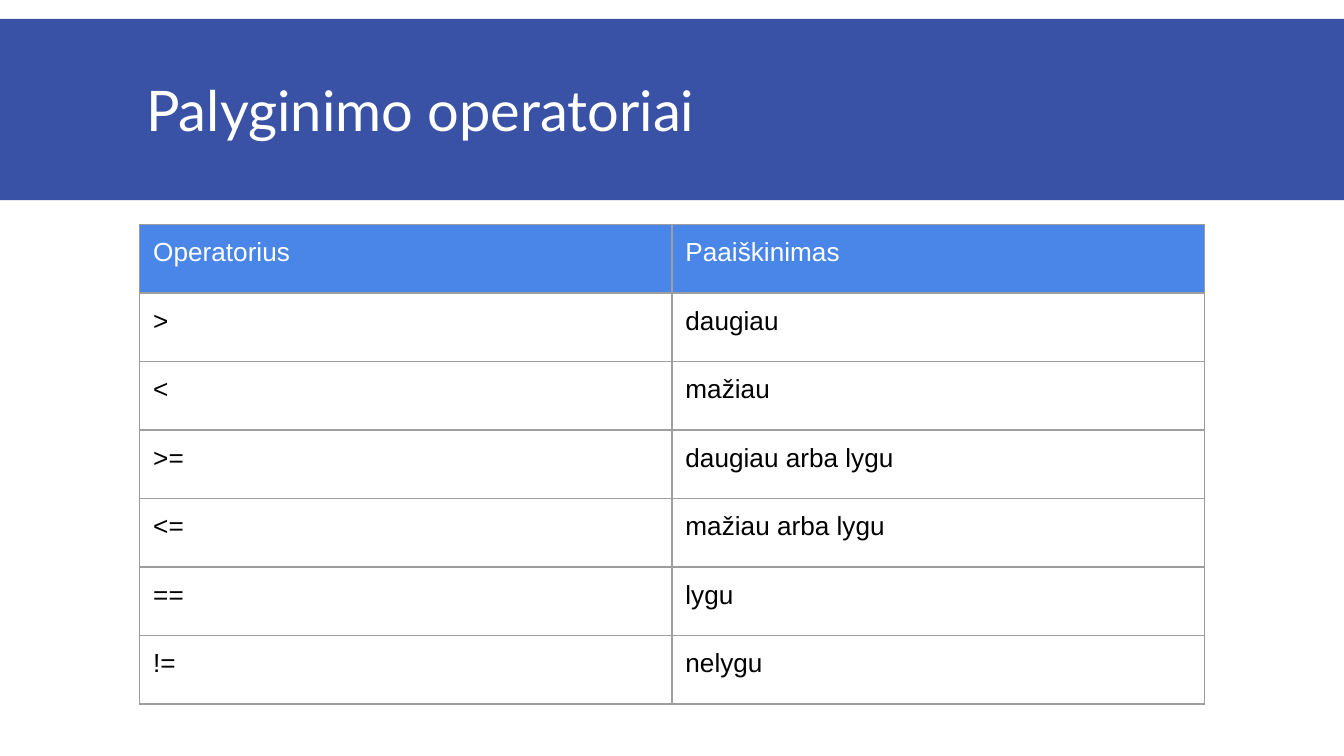
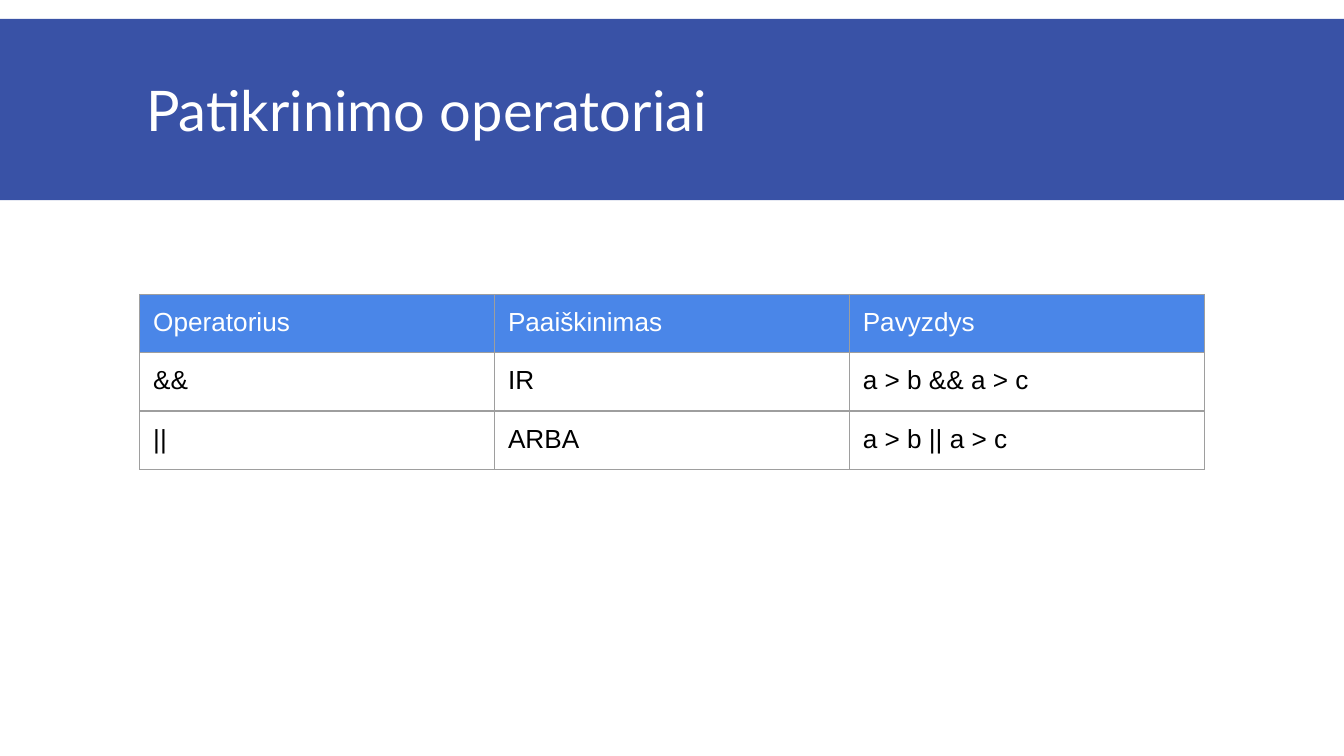
from lxml.etree import SubElement
from pptx import Presentation
from pptx.dml.color import RGBColor
from pptx.enum.shapes import MSO_SHAPE as SHAPE
from pptx.enum.text import MSO_ANCHOR as ANCHOR
from pptx.oxml.ns import qn
from pptx.util import Inches, Pt

COLORS = {
    "band": "3952A6",
    "header": "4A86E8",
    "border": "9E9E9E",
    "light": "FFFFFF",
    "dark": "000000",
}
SLIDE_WIDTH = 10
SLIDE_HEIGHT = SLIDE_WIDTH * 9 / 16
TITLE_FONT = {"name": "Lato", "size": Pt(30)}
CELL_FONT = {"name": "Arial", "size": Pt(14)}
MARGINS = {f"margin_{side}": Inches(0.1) for side in ("left", "top", "right", "bottom")}
TABLE_LEFT, TABLE_WIDTH = 1.04, 7.92

COMPARISON = [
    ("Operatorius", "Paaiškinimas"),
    (">", "daugiau"),
    ("<", "mažiau"),
    (">=", "daugiau arba lygu"),
    ("<=", "mažiau arba lygu"),
    ("==", "lygu"),
    ("!=", "nelygu"),
]
LOGICAL = [
    ("Operatorius", "Paaiškinimas", "Pavyzdys"),
    ("&&", "IR", "a > b && a > c"),
    ("||", "ARBA", "a > b || a > c"),
]


def rgb(name):
    """Return the named palette colour."""
    return RGBColor.from_string(COLORS[name])


def apply(target, values):
    """Set every attribute in values on target."""
    for name, value in values.items():
        setattr(target, name, value)


def write(p, text, font, color):
    """Add one formatted run to a paragraph."""
    r = p.add_run()
    r.text = text
    apply(r.font, font)
    r.font.color.rgb = rgb(color)


def add_band(slide):
    """Draw the coloured band behind the title."""
    sp = slide.shapes.add_shape(
        SHAPE.RECTANGLE, 0, Inches(0.14), Inches(SLIDE_WIDTH), Inches(1.35))
    sp.shadow.inherit = False
    sp.fill.solid()
    sp.fill.fore_color.rgb = rgb("band")
    sp.line.fill.background()


def add_title(slide, text):
    """Write the slide title over the band."""
    sp = slide.shapes.add_textbox(Inches(0.99), Inches(0.23), Inches(8.02), Inches(1.24))
    tf = sp.text_frame
    apply(tf, {"word_wrap": True, "vertical_anchor": ANCHOR.MIDDLE, **MARGINS})
    p = tf.paragraphs[0]
    p.line_spacing = 0.85
    write(p, text, TITLE_FONT, "light")


def add_borders(cell):
    """Give a cell a thin line on all four sides."""
    props = cell._tc.get_or_add_tcPr()
    for side in ("lnL", "lnR", "lnT", "lnB"):
        line = SubElement(props, qn(f"a:{side}"), w=str(Pt(0.75)))
        fill = SubElement(line, qn("a:solidFill"))
        SubElement(fill, qn("a:srgbClr"), val=COLORS["border"])


def format_cell(cell, text, is_header):
    """Fill one table cell with text, borders and background."""
    apply(cell, MARGINS)
    add_borders(cell)
    if is_header:
        cell.fill.solid()
        cell.fill.fore_color.rgb = rgb("header")
    else:
        cell.fill.background()
    write(cell.text_frame.paragraphs[0], text, CELL_FONT, "light" if is_header else "dark")


def add_table(slide, rows, top, row_height):
    """Add a table with equal columns and a coloured header row."""
    count = len(rows[0])
    frame = slide.shapes.add_table(
        len(rows), count, Inches(TABLE_LEFT), Inches(top),
        Inches(TABLE_WIDTH), Inches(row_height * len(rows)))
    table = frame.table
    apply(table, {"first_row": False, "horz_banding": False})
    for column in table.columns:
        column.width = Inches(TABLE_WIDTH / count)
    for i, texts in enumerate(rows):
        table.rows[i].height = Inches(row_height)
        for j, text in enumerate(texts):
            format_cell(table.cell(i, j), text, i == 0)


def add_slide(prs, title, rows, top, row_height):
    """Add a slide with a title band and an operator table."""
    slide = prs.slides.add_slide(prs.slide_layouts[6])
    add_band(slide)
    add_title(slide, title)
    add_table(slide, rows, top, row_height)


def main():
    """Build and save the presentation."""
    prs = Presentation()
    apply(prs, {"slide_width": Inches(SLIDE_WIDTH), "slide_height": Inches(SLIDE_HEIGHT)})
    add_slide(prs, "Palyginimo operatoriai", COMPARISON, 1.67, 0.51)
    add_slide(prs, "Patikrinimo operatoriai", LOGICAL, 2.19, 0.42)
    prs.save("out.pptx")


main()
